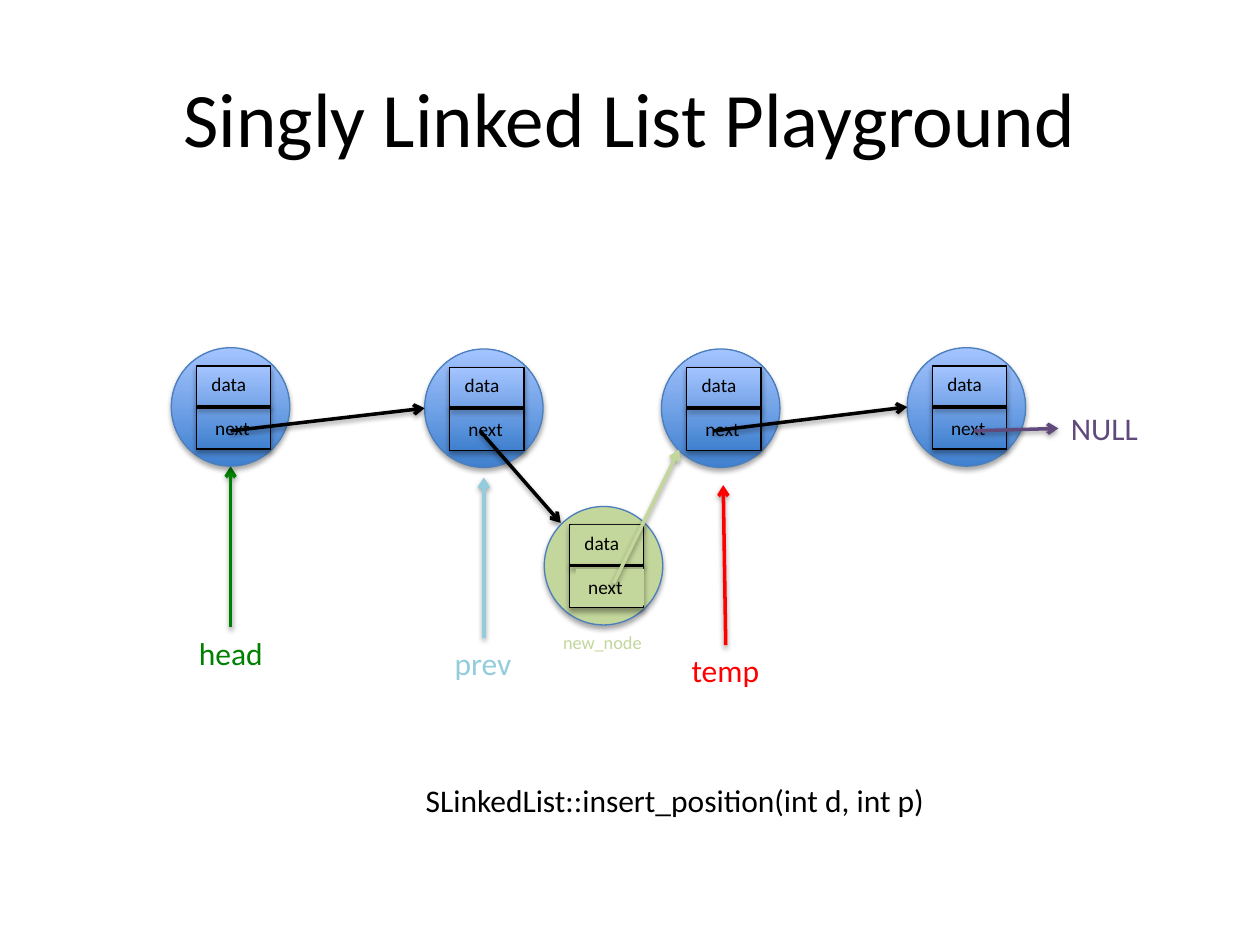
from lxml import etree
from pptx import Presentation
from pptx.dml.color import RGBColor
from pptx.enum import shapes, text
from pptx.oxml.ns import qn
from pptx.util import Inches, Pt

COLORS = {
    "black": "000000", "head": "008000", "prev": "93CDDD", "temp": "FF0000",
    "null": "604A7B", "new": "C3D69B", "outline": "4B7EBC",
    "deep": "3F80CE", "pale": "A4C4FF",
}

# Content: labels are (text, left, top, width, height, format)
TITLE = ("Singly Linked List Playground", 0.5, 0.3, 9, 1.25,
         dict(size=44, align=text.PP_ALIGN.CENTER, anchor=text.MSO_ANCHOR.MIDDLE))
LABELS = [
    ("head", 1.48, 4.98, 0.71, 0.4, dict(color="head", wrap=False)),
    ("NULL", 8.4, 3.2, 0.75, 0.4, dict(color="null", wrap=False)),
    ("temp", 5.39, 5.12, 0.75, 0.4, dict(color="temp", wrap=False)),
    ("prev", 3.51, 5.06, 0.66, 0.4, dict(color="prev", wrap=False)),
    ("SLinkedList::insert_position(int d, int p)", 3.28, 6.15, 4.25, 0.4, {}),
    ("new_node", 4.37, 4.96, 0.88, 0.28, dict(color="new", size=10.5)),
]
# Pointers: (from x, from y, to x, to y, color)
NAMED_POINTERS = [
    (1.83, 4.98, 1.83, 3.7, "head"),
    (5.76, 5.12, 5.74, 3.85, "temp"),
    (3.84, 5.06, 3.84, 3.79, "prev"),
]
NEXT_POINTERS = [
    (1.83, 3.42, 3.37, 3.24, "black"),
    (3.81, 3.42, 4.45, 4.15, "black"),
    (5.66, 3.42, 7.2, 3.23, "black"),
    (7.73, 3.42, 8.4, 3.4, "null"),
]
NEW_POINTER = (4.87, 4.63, 5.39, 3.57, "new")
LIST_NODES = [(1.36, 2.76), (3.37, 2.77), (5.25, 2.77), (7.2, 2.76)]
NEW_NODE = (4.32, 4.02)
# Fields of a node: (text, offset from the left and top of its circle)
FIELDS = [("data", 0.22, 0.145), ("next", 0.25, 0.495)]

prs = Presentation()
prs.slide_width, prs.slide_height = Inches(10), Inches(7.5)
slide = prs.slides.add_slide(prs.slide_layouts[6])


def rgb(name):
    return RGBColor.from_string(COLORS[name])


def add_shadow(part, alpha, distance):
    props = part._element.spPr
    for old in props.findall(qn("a:effectLst")):
        props.remove(old)
    effects = etree.SubElement(props, qn("a:effectLst"))
    shadow = etree.SubElement(effects, qn("a:outerShdw"), blurRad=str(Pt(3.1)),
                              dist=str(Pt(distance)), dir="5400000", rotWithShape="0")
    tint = etree.SubElement(shadow, qn("a:srgbClr"), val=COLORS["black"])
    etree.SubElement(tint, qn("a:alpha"), val=str(alpha * 1000))


def add_text(words, left, top, width, height, size=18, color="black", wrap=True,
             align=text.PP_ALIGN.LEFT, anchor=text.MSO_ANCHOR.TOP,
             fill=None, parent=slide):
    label = parent.shapes.add_textbox(*map(Inches, (left, top, width, height)))
    if fill:
        label.fill.solid()
        label.fill.fore_color.rgb = rgb(fill)
    frame = label.text_frame
    frame.word_wrap, frame.vertical_anchor = wrap, anchor
    paragraph = frame.paragraphs[0]
    paragraph.alignment = align
    run = paragraph.add_run()
    run.text = words
    run.font.name, run.font.size = "Calibri", Pt(size)
    run.font.color.rgb = rgb(color)


def add_line(x1, y1, x2, y2, color="black", arrow=True, parent=slide):
    line = parent.shapes.add_connector(shapes.MSO_CONNECTOR.STRAIGHT,
                                       *map(Inches, (x1, y1, x2, y2)))
    line.line.color.rgb = rgb(color)
    line.line.width = Pt(2)
    if arrow:
        etree.SubElement(line.line._get_or_add_ln(), qn("a:tailEnd"), type="arrow")
    add_shadow(line, 38, 1.6)


def add_outline(parent, kind, left, top, width, height, edge, fill):
    outline = parent.shapes.add_shape(kind, *map(Inches, (left, top, width, height)))
    if fill:
        outline.fill.solid()
        outline.fill.fore_color.rgb = rgb(fill)
    else:
        outline.fill.gradient()
        outline.fill.gradient_angle = 90
        for stop, (name, position) in zip(outline.fill.gradient_stops,
                                          (("deep", 0), ("pale", 1))):
            stop.color.rgb, stop.position = rgb(name), position
    outline.line.color.rgb = rgb(edge)
    outline.line.width = Pt(0.75)
    outline.shadow.inherit = False
    add_shadow(outline, 35, 1.8)


def add_node(left, top, fill=None):
    node = slide.shapes.add_group_shape()
    box_left, divider = left + 0.2, top + 0.47
    add_outline(node, shapes.MSO_SHAPE.OVAL, left, top, 0.94, 0.94, "outline", fill)
    add_outline(node, shapes.MSO_SHAPE.RECTANGLE, box_left, top + 0.145, 0.59, 0.66,
                "black", fill)
    add_line(box_left, divider, box_left + 0.59, divider, arrow=False, parent=node)
    for field, dx, dy in FIELDS:
        add_text(field, left + dx, top + dy, 0.54, 0.29, size=11, fill=fill, parent=node)


# Title, labels and named pointers
for *place, style in [TITLE, *LABELS]:
    add_text(*place, **style)
for pointer in NAMED_POINTERS:
    add_line(*pointer)

# The list and its links
for corner in LIST_NODES:
    add_node(*corner)
for pointer in NEXT_POINTERS:
    add_line(*pointer)

# The inserted node
add_node(*NEW_NODE, fill="new")
add_line(*NEW_POINTER)

prs.save("out.pptx")
